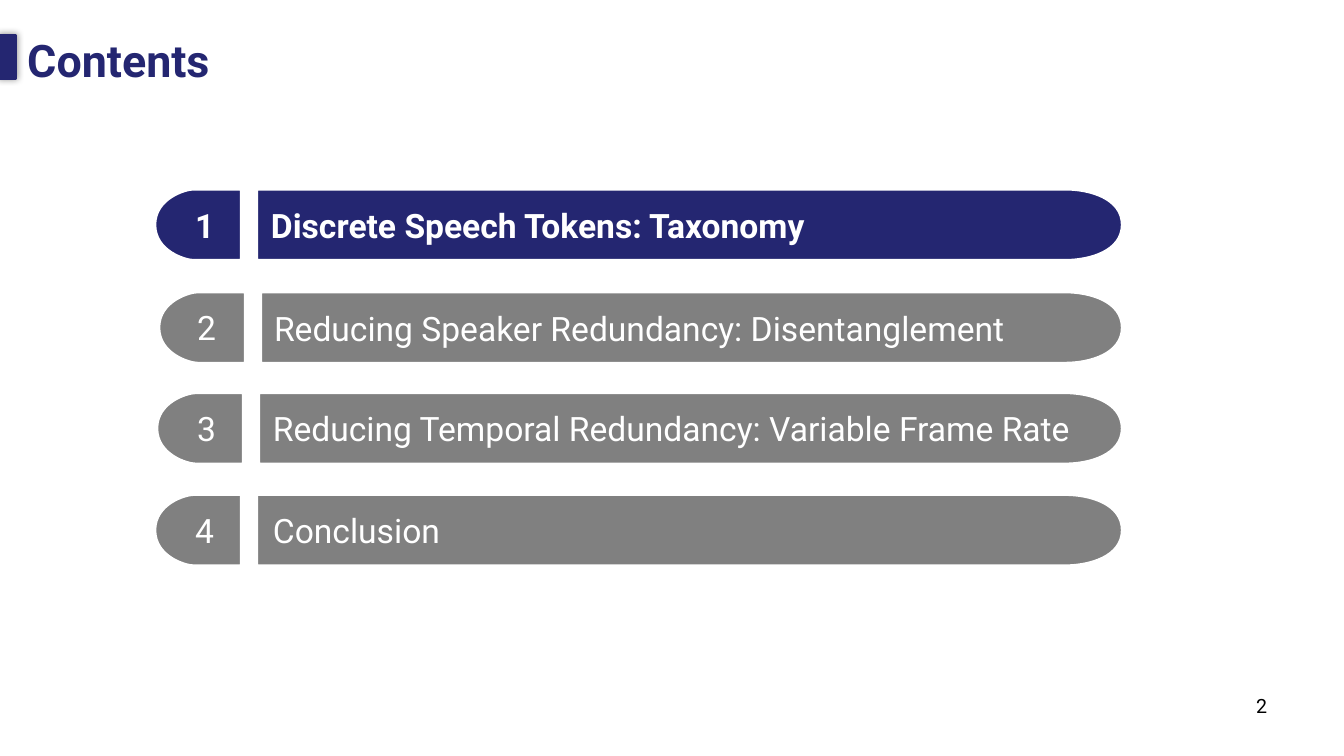
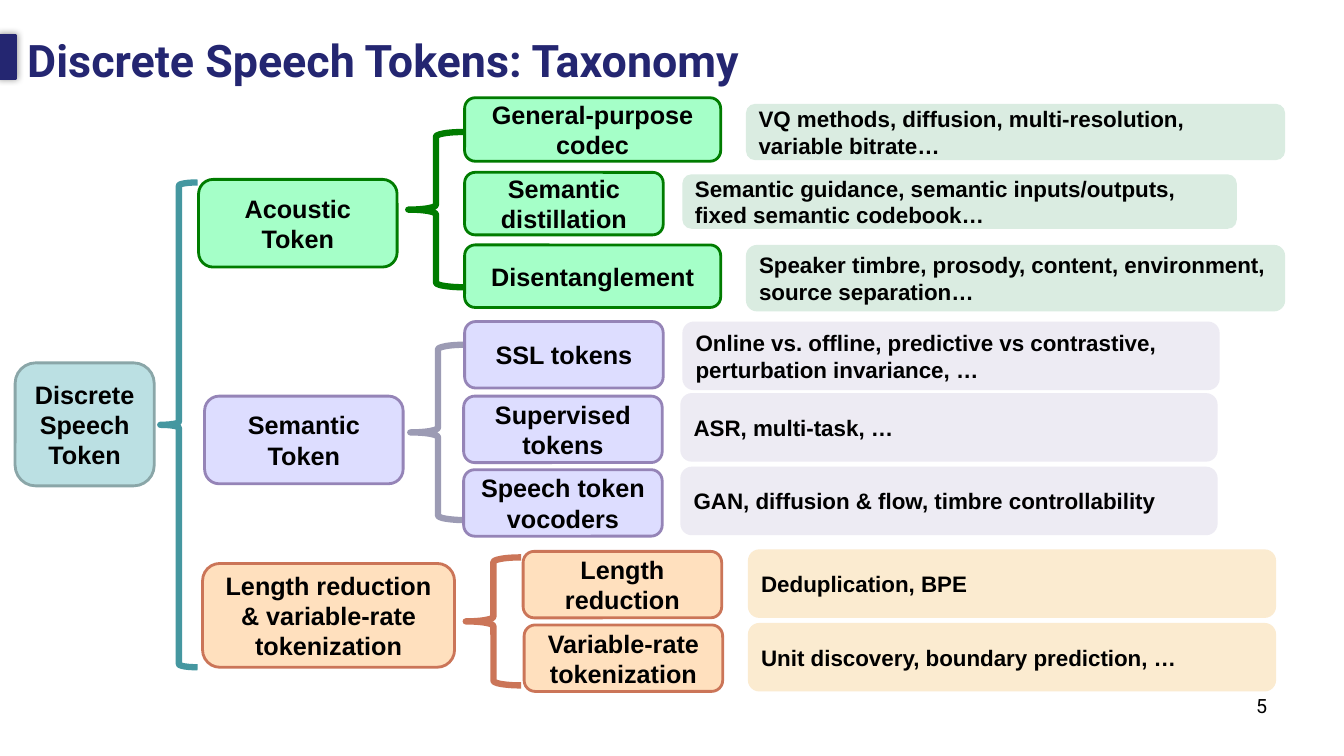
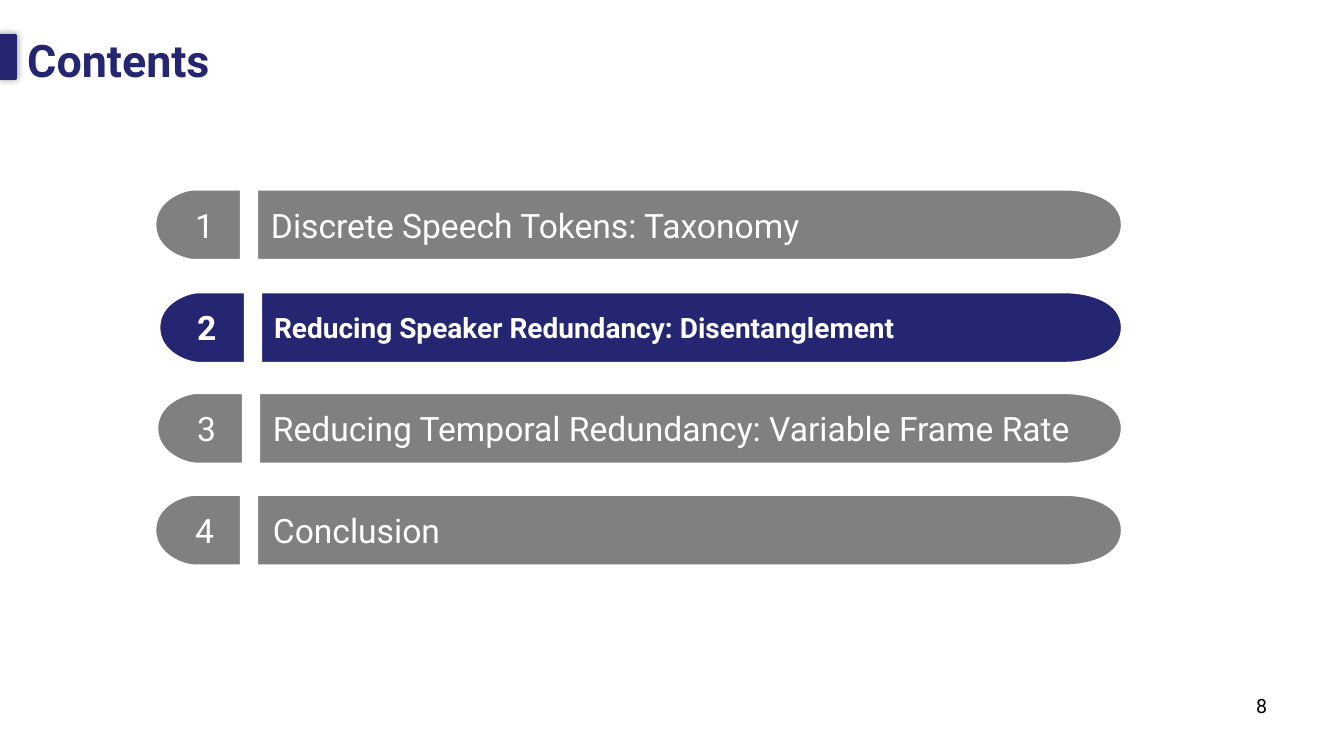
"""Build a contents page, a taxonomy of discrete speech tokens and a second contents page."""
from lxml import etree
from pptx import Presentation
from pptx import util as u
from pptx.dml.color import RGBColor
from pptx.enum import shapes, text
from pptx.oxml.ns import qn

NAVY = RGBColor(0x24, 0x26, 0x71)
GRAY = RGBColor(0x80, 0x80, 0x80)
WHITE = RGBColor(0xFF, 0xFF, 0xFF)
BLACK = RGBColor(0x00, 0x00, 0x00)
TEAL = RGBColor(0x45, 0x97, 0xA0)
PALE_TEAL = RGBColor(0xBB, 0xE0, 0xE3)
TEAL_EDGE = RGBColor(0x8A, 0xA6, 0xA8)
GREEN = RGBColor(0x00, 0x7C, 0x00)
MINT = RGBColor(0xA5, 0xFF, 0xC8)
PALE_GREEN = RGBColor(0xDA, 0xEC, 0xE1)
PURPLE = RGBColor(0x95, 0x84, 0xB7)
SLATE = RGBColor(0x9C, 0x9B, 0xB4)
LILAC = RGBColor(0xDD, 0xDD, 0xFF)
PALE_LILAC = RGBColor(0xED, 0xEB, 0xF3)
RUST = RGBColor(0xCB, 0x75, 0x58)
PEACH = RGBColor(0xFF, 0xE0, 0xBE)
CREAM = RGBColor(0xFB, 0xEB, 0xD0)

KIND = shapes.MSO_SHAPE
ALIGN = text.PP_ALIGN
MIDDLE = text.MSO_ANCHOR.MIDDLE

deck = Presentation()
deck.slide_width, deck.slide_height = u.Emu(12192000), u.Emu(6858000)
COL = deck.slide_width * 3 / 40
ROW = deck.slide_height / 7.5


def add_block(slide, kind, area, fill=None, edge=None, weight=2):
    """Add a preset shape, or a text box when kind is None, on the grid."""
    left, top, width, height = area
    place = int(left * COL), int(top * ROW), int(width * COL), int(height * ROW)
    if kind is None:
        block = slide.shapes.add_textbox(*place)
        block.text_frame.word_wrap = True
        return block
    block = slide.shapes.add_shape(kind, *place)
    block.shadow.inherit = False
    if fill is None:
        block.fill.background()
    else:
        block.fill.solid()
        block.fill.fore_color.rgb = fill
    if edge is None:
        block.line.fill.background()
    else:
        block.line.color.rgb = edge
        block.line.width = u.Pt(weight)
    return block


def write(block, words, size, face="Arial", color=BLACK, bold=True, align=ALIGN.CENTER):
    """Fill a block with one paragraph and return that paragraph."""
    block.text_frame.text = words
    paragraph = block.text_frame.paragraphs[0]
    paragraph.alignment = align
    font = paragraph.font
    font.size, font.name, font.bold = u.Pt(size), face, bold
    font.color.rgb = color
    return paragraph


layout = deck.slide_layouts[5]
heading = layout.placeholders[0]
heading.left, heading.top = int(0.17 * COL), int(-0.13 * ROW)
heading.width, heading.height = int(12.95 * COL), int(1.45 * ROW)
heading.text_frame.vertical_anchor = MIDDLE

pages = []
for topic, number in (("Contents", "2"), ("Discrete Speech Tokens: Taxonomy", "5"), ("Contents", "8")):
    page = deck.slides.add_slide(layout)
    write(page.shapes.title, topic, 32, "Roboto", NAVY, align=ALIGN.LEFT)
    write(add_block(page, None, (9.56, 6.83, 3.11, 0.52)), number, 14, "Roboto", bold=False, align=ALIGN.RIGHT)
    pages.append(page)

accent = add_block(pages[0], KIND.RECTANGLE, (-0.01, 0.35, 0.17, 0.43), NAVY, NAVY)
glow = etree.SubElement(accent._element.spPr.find(qn("a:effectLst")), qn("a:outerShdw"), blurRad=str(u.Pt(5)))
tint = etree.SubElement(glow, qn("a:srgbClr"), val="000000")
etree.SubElement(tint, qn("a:alpha"), val="40000")
layout.shapes._spTree.insert(2, accent._element)

sections = (
    ("Discrete Speech Tokens: Taxonomy", 1.88, 0, 1.82, 2.59, 6.16),
    ("Reducing Speaker Redundancy: Disentanglement", 2.9, 0.04, 1.84, 2.62, 7.75),
    ("Reducing Temporal Redundancy: Variable Frame Rate", 3.9, 0.02, 1.84, 2.61, 8.45),
    ("Conclusion", 4.91, 0, 1.82, 2.61, 6.16),
)
BAR_HEIGHT = 0.7

for page, current, current_size in ((pages[0], 0, 24), (pages[2], 1, 20)):
    for index, (section, top, shift, ordinal_left, caption_left, caption_width) in enumerate(sections):
        active = index == current
        middle, bottom = top + BAR_HEIGHT / 2, top + BAR_HEIGHT
        halves = ((2.55 + shift, 10.57, 11.13, 0.24), (2.39 + shift, 1.92 + shift, 1.54 + shift, -0.08))
        for flat, shoulder, tip, pull in halves:
            corners = ((flat, top), (flat, bottom), (shoulder, bottom), (tip, middle), (shoulder, top))
            points = [(x * COL, y * ROW) for x, y in corners]
            pen = page.shapes.build_freeform(*points[0])
            pen.add_line_segments(points[1:], close=True)
            half = pen.convert_to_shape()
            edges = list(half._element.iter(qn("a:lnTo")))
            bends = (
                (edges[2], ((shoulder + pull, bottom), (tip, middle + 0.26))),
                (edges[3], ((tip, middle - 0.26), (shoulder + pull, top))),
            )
            for bend, handles in bends:
                bend.tag = qn("a:cubicBezTo")
                for position, (x, y) in enumerate(handles):
                    handle = etree.Element(qn("a:pt"), x=str(int(x * COL - half.left)), y=str(int(y * ROW - half.top)))
                    bend.insert(position, handle)
            half.shadow.inherit = False
            half.fill.solid()
            half.fill.fore_color.rgb = NAVY if active else GRAY
            half.line.color.rgb = WHITE
            half.line.width = u.Pt(1.5)

        size = current_size if active else 24
        ordinal = add_block(page, None, (ordinal_left, top + 0.1, 0.42, 0.5))
        caption = add_block(page, None, (caption_left, top + 0.12, caption_width, 0.46))
        caption.text_frame.vertical_anchor = MIDDLE
        caption.text_frame.margin_top = caption.text_frame.margin_bottom = u.Inches(0.03)
        lines = (
            write(ordinal, str(index + 1), 24, "Roboto", WHITE, active),
            write(caption, section, size, "Roboto", WHITE, active, ALIGN.LEFT),
        )
        if not active:
            for line in lines:
                effects = etree.SubElement(line.runs[0].font._element, qn("a:effectLst"))
                shade = etree.SubElement(effects, qn("a:outerShdw"), blurRad="38100", dist="38100", dir="2700000")
                etree.SubElement(shade, qn("a:srgbClr"), val="000000")

taxonomy = pages[1]
add_block(taxonomy, KIND.LEFT_BRACE, (1.59, 1.81, 0.37, 4.81), edge=TEAL, weight=4.5)
root = add_block(taxonomy, KIND.ROUNDED_RECTANGLE, (0.15, 3.6, 1.38, 1.22), PALE_TEAL, TEAL_EDGE)
write(root, "Discrete Speech Token", 18)

branches = (
    ("Acoustic Token", (1.97, 1.78, 1.97, 0.87), (4.05, 1.31, 0.55, 1.54), MINT, GREEN, GREEN, PALE_GREEN, (
        ("General-purpose codec", (4.61, 0.97, 2.54, 0.63),
         "VQ methods, diffusion, multi-resolution, variable bitrate…", (7.4, 1.03, 5.35, 0.56)),
        ("Semantic distillation", (4.61, 1.71, 1.97, 0.62),
         "Semantic guidance, semantic inputs/outputs, fixed semantic codebook…", (6.77, 1.73, 5.5, 0.54)),
        ("Disentanglement", (4.61, 2.43, 2.54, 0.62),
         "Speaker timbre, prosody, content, environment, source separation…", (7.4, 2.43, 5.35, 0.66)))),
    ("Semantic Token", (2.03, 3.93, 1.97, 0.87), (4.07, 3.42, 0.55, 1.74), LILAC, PURPLE, SLATE, PALE_LILAC, (
        ("SSL tokens", (4.61, 3.19, 1.97, 0.66),
         "Online vs. offline, predictive vs contrastive, perturbation invariance, …", (6.77, 3.19, 5.33, 0.68)),
        ("Supervised tokens", (4.6, 3.93, 1.97, 0.66),
         "ASR, multi-task, …", (6.75, 3.9, 5.33, 0.68)),
        ("Speech token vocoders", (4.6, 4.66, 1.97, 0.66),
         "GAN, diffusion & flow, timbre controllability", (6.75, 4.63, 5.33, 0.68)))),
    ("Length reduction & variable-rate tokenization", (2.01, 5.59, 2.5, 1.03), (4.62, 5.53, 0.55, 1.27),
     PEACH, RUST, RUST, CREAM, (
        ("Length reduction", (5.19, 5.47, 1.97, 0.66),
         "Deduplication, BPE", (7.42, 5.45, 5.24, 0.68)),
        ("Variable-rate tokenization", (5.2, 6.2, 1.97, 0.66),
         "Unit discovery, boundary prediction, …", (7.42, 6.18, 5.24, 0.68)))),
)

for branch, area, brace, fill, edge, brace_edge, pale, leaves in branches:
    write(add_block(taxonomy, KIND.ROUNDED_RECTANGLE, area, fill, edge), branch, 18)
    add_block(taxonomy, KIND.LEFT_BRACE, brace, edge=brace_edge, weight=4.5)
    for leaf, leaf_area, detail, detail_area in leaves:
        write(add_block(taxonomy, KIND.ROUNDED_RECTANGLE, leaf_area, fill, edge), leaf, 18)
        write(add_block(taxonomy, KIND.ROUNDED_RECTANGLE, detail_area, pale), detail, 16, align=ALIGN.LEFT)

deck.save("out.pptx")
